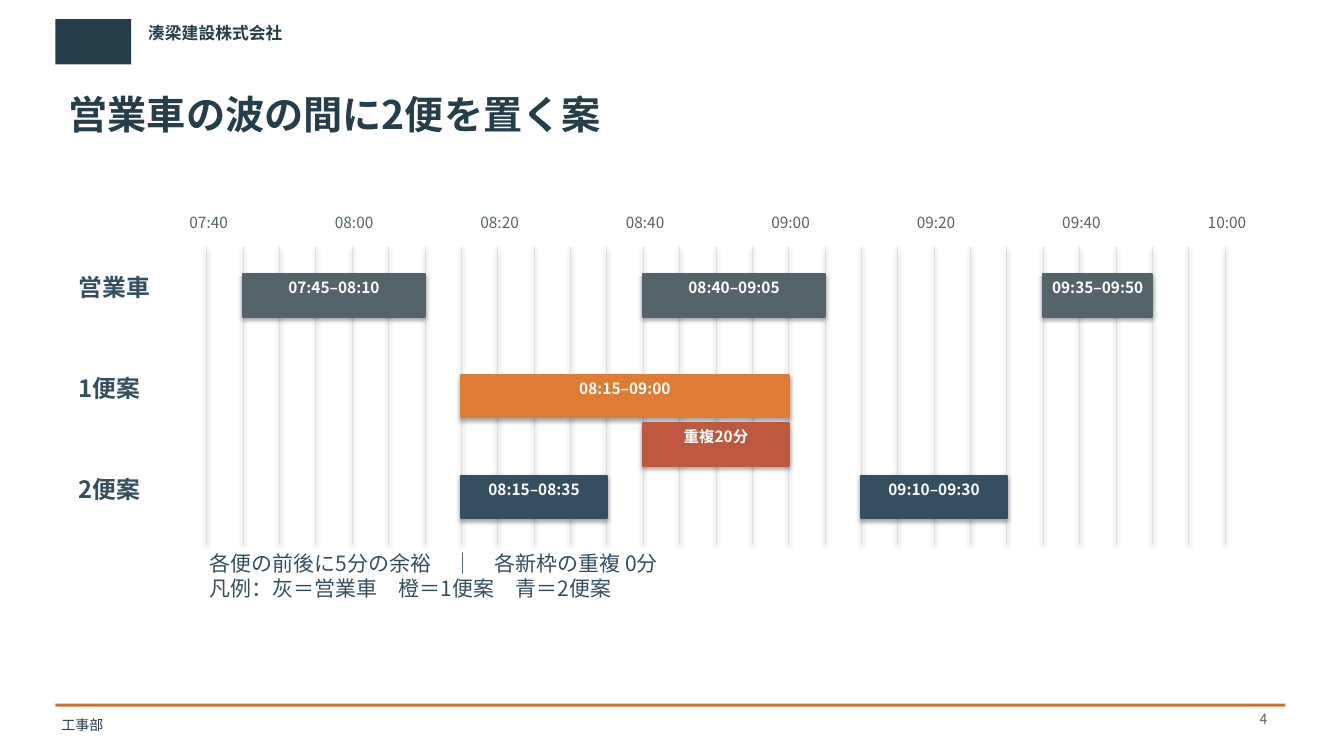
import pptx
import pptx.dml.color
import pptx.enum.shapes
import pptx.enum.text
import pptx.oxml
import pptx.oxml.ns
import pptx.util

Inches = pptx.util.Inches
Pt = pptx.util.Pt
ALIGN = pptx.enum.text.PP_ALIGN
AUTO = pptx.enum.text.MSO_AUTO_SIZE
TOP = pptx.enum.text.MSO_ANCHOR.TOP
RECT = pptx.enum.shapes.MSO_SHAPE.RECTANGLE
STRAIGHT = pptx.enum.shapes.MSO_CONNECTOR.STRAIGHT


def rgb(value):
    return pptx.dml.color.RGBColor.from_string(value)


class Deck:
    font = "Noto Sans CJK JP"
    ink = "263D4A"
    slate = "364F60"
    gray = "55636A"
    accent = "CE702B"
    grid = "D8E0E3"
    orange = "DF7C35"
    red = "BE5940"
    white = "FFFFFF"

    def __init__(self, width, height):
        self.prs = pptx.Presentation()
        self.prs.slide_width = Inches(width)
        self.prs.slide_height = Inches(height)
        self.slide = None

    def add_slide(self):
        self.slide = self.prs.slides.add_slide(self.prs.slide_layouts[5])

    def set_text(self, sp, text, size, color, bold=False, align=ALIGN.LEFT,
                 inset=0.01, fit=AUTO.SHAPE_TO_FIT_TEXT):
        tf = sp.text_frame
        tf.word_wrap = True
        tf.auto_size = fit
        tf.vertical_anchor = TOP
        tf.margin_left = tf.margin_right = Inches(0.03)
        tf.margin_top = tf.margin_bottom = Inches(inset)
        p = tf.paragraphs[0]
        for i, line in enumerate(text.splitlines()):
            if i:
                p.add_line_break()
            p.add_run().text = line
        p.alignment = align
        p.font.name = self.font
        p.font.size = Pt(size)
        p.font.bold = bold
        p.font.color.rgb = rgb(color)
        ea = pptx.oxml.parse_xml(
            f'<a:ea {pptx.oxml.ns.nsdecls("a")} typeface="{self.font}"/>')
        latin = p._p.pPr.find(".//" + pptx.oxml.ns.qn("a:latin"))
        latin.addnext(ea)

    def title(self, text, x, y, w, h):
        sp = self.slide.shapes.title
        sp.left, sp.top, sp.width, sp.height = map(Inches, (x, y, w, h))
        self.set_text(sp, text, 28, self.ink, bold=True, inset=0.05)

    def text(self, text, x, y, w, h, size, color, **style):
        sp = self.slide.shapes.add_textbox(*map(Inches, (x, y, w, h)))
        self.set_text(sp, text, size, color, **style)

    def block(self, x, y, w, h, color):
        sp = self.slide.shapes.add_shape(RECT, *map(Inches, (x, y, w, h)))
        sp.fill.solid()
        sp.fill.fore_color.rgb = rgb(color)
        sp.line.fill.background()
        sp.shadow.inherit = False

    def bar(self, text, x, y, w, h, color):
        sp = self.slide.shapes.add_shape(RECT, *map(Inches, (x, y, w, h)))
        sp.fill.solid()
        sp.fill.fore_color.rgb = rgb(color)
        sp.line.color.rgb = rgb(color)
        sp.line.width = Pt(1.5)
        self.set_text(sp, text, 11, self.white, bold=True, align=ALIGN.CENTER,
                      inset=0.04, fit=AUTO.NONE)

    def gridline(self, x, top, bottom):
        line = self.slide.shapes.add_connector(
            STRAIGHT, *map(Inches, (x, top, x, bottom)))
        line.line.color.rgb = rgb(self.grid)
        line.line.width = Pt(0.5)


START, END = 7 * 60 + 40, 10 * 60
AXIS_LEFT, AXIS_RIGHT = 2.05, 12.15


def minutes(clock):
    hour, minute = clock.split(":")
    return int(hour) * 60 + int(minute)


def time_x(minute):
    return AXIS_LEFT + (minute - START) * (AXIS_RIGHT - AXIS_LEFT) / (END - START)


def main():
    deck = Deck(13.33, 7.5)
    deck.add_slide()

    deck.block(0.55, 0.19, 0.75, 0.45, deck.ink)
    deck.text("湊梁建設株式会社", 1.44, 0.18, 4, 0.5, 12, deck.ink,
              bold=True, inset=0.05)
    deck.block(0.55, 6.98, 12.2, 0.03, deck.accent)
    deck.text("工事部", 0.58, 7.06, 9, 0.3, 10, deck.ink, inset=0.05)
    deck.title("営業車の波の間に2便を置く案", 0.65, 0.85, 12, 0.8)
    deck.text("4", 12.15, 7.04, 0.45, 0.25, 10, deck.gray, align=ALIGN.RIGHT)

    for minute in range(START, END + 1, 5):
        deck.gridline(time_x(minute), 2.45, 5.4)
    for minute in range(START, END + 1, 20):
        deck.text(f"{minute // 60:02}:{minute % 60:02}", time_x(minute) - 0.32,
                  2.1, 0.68, 0.28, 11, deck.gray, align=ALIGN.CENTER)

    for i, name in enumerate(["営業車", "1便案", "2便案"]):
        deck.text(name, 0.75, 2.7 + i, 0.95, 0.35, 17, deck.slate, bold=True)

    bars = [
        ("07:45", "08:10", 2.72, deck.gray, None),
        ("08:40", "09:05", 2.72, deck.gray, None),
        ("09:35", "09:50", 2.72, deck.gray, None),
        ("08:15", "09:00", 3.72, deck.orange, None),
        ("08:40", "09:00", 4.2, deck.red, "重複20分"),
        ("08:15", "08:35", 4.72, deck.slate, None),
        ("09:10", "09:30", 4.72, deck.slate, None),
    ]
    for begin, finish, y, color, label in bars:
        left, right = time_x(minutes(begin)), time_x(minutes(finish))
        deck.bar(label or f"{begin}–{finish}", left, y, right - left, 0.42, color)

    deck.text("各便の前後に5分の余裕　｜　各新枠の重複 0分\n"
              "凡例：灰＝営業車　橙＝1便案　青＝2便案",
              2.05, 5.45, 10.2, 0.75, 15, deck.slate)

    deck.prs.save("out.pptx")


if __name__ == "__main__":
    main()
